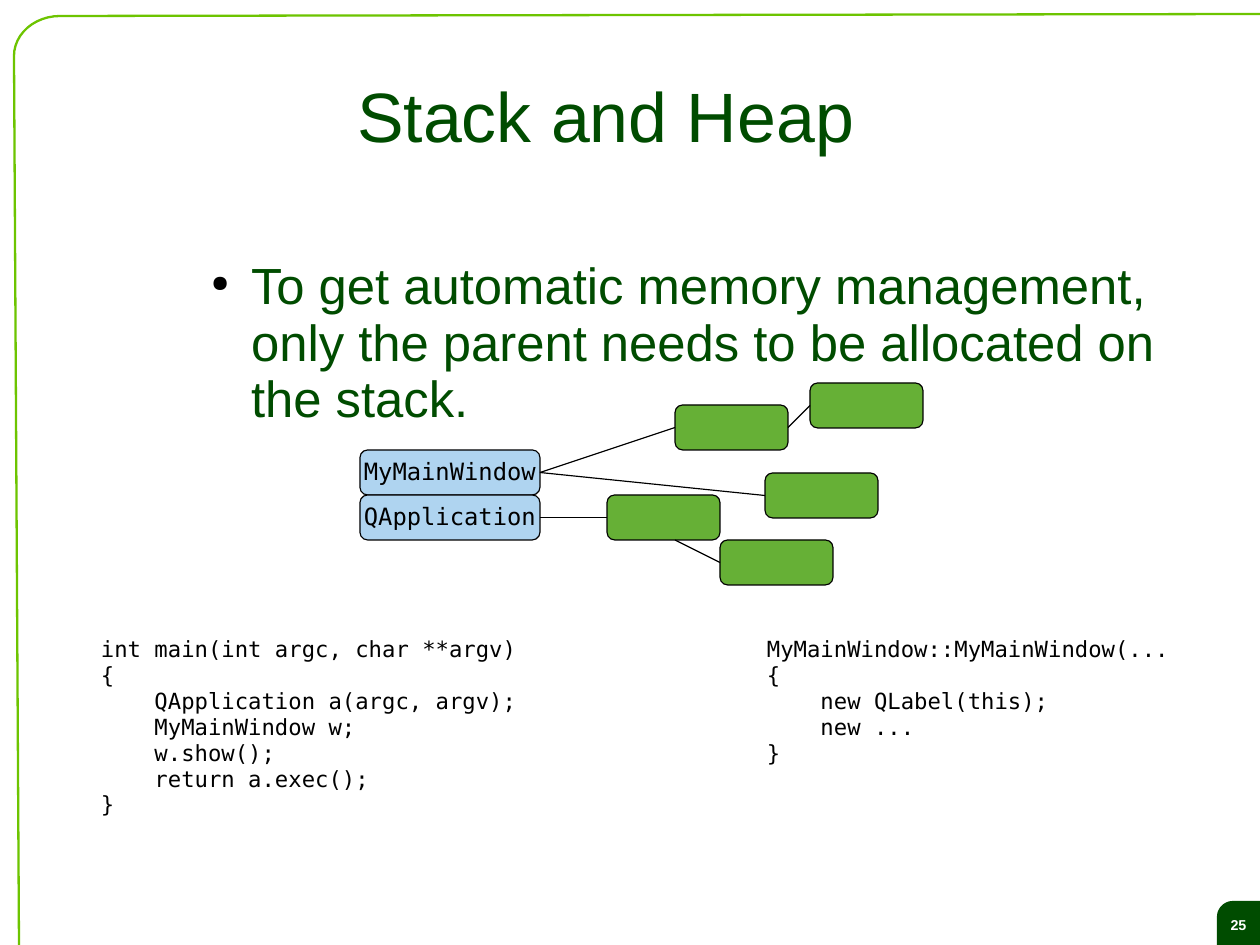
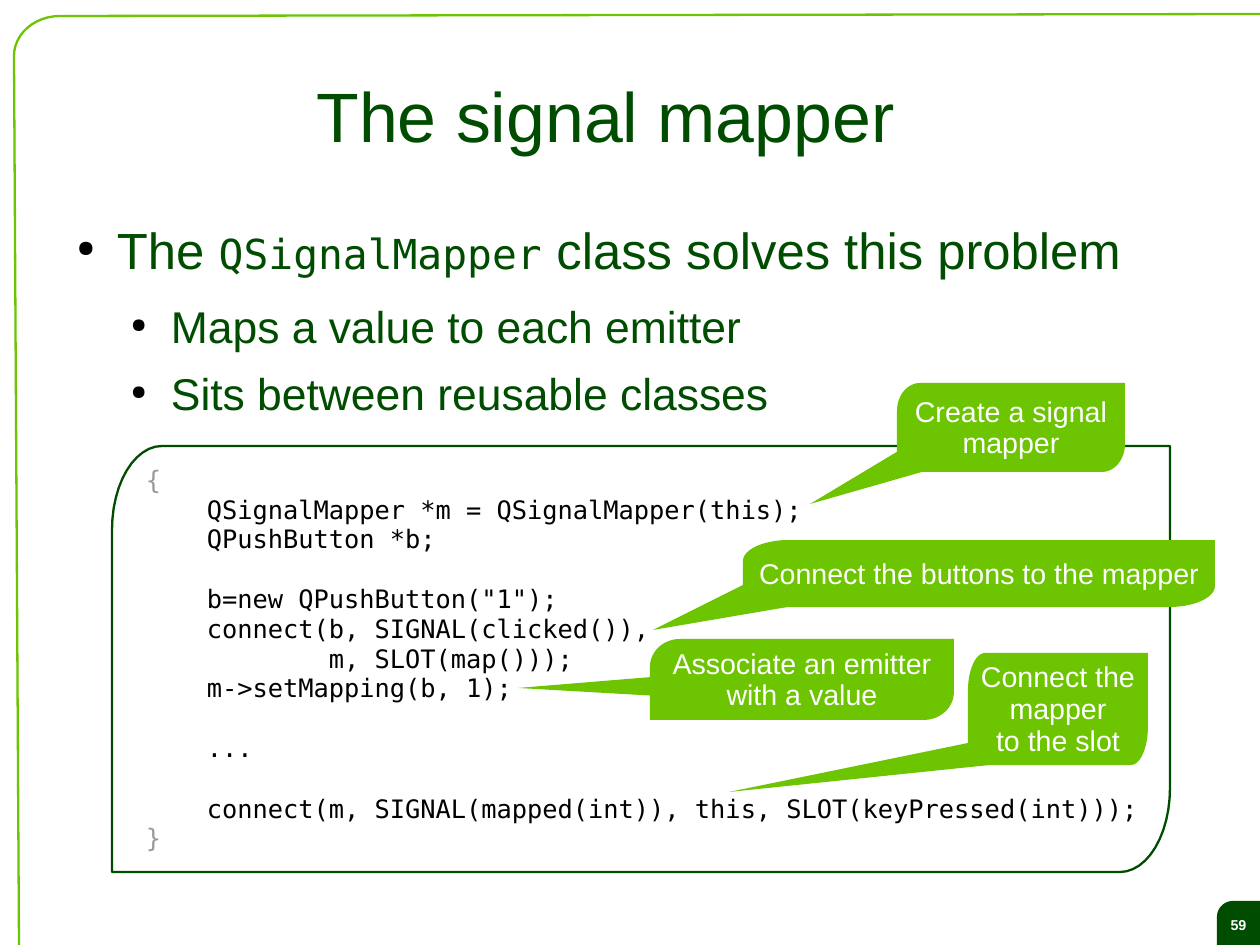
import math

import lxml.etree
import pptx
import pptx.dml.color
import pptx.enum.shapes
import pptx.enum.text
import pptx.oxml.ns
import pptx.util

PX = 8000  # EMU per px
SLIDE_WIDTH, SLIDE_HEIGHT = 1260, 945
SANS, MONO = "Arial", "DejaVu Sans Mono"
COLORS = {"dark": "004C00", "lime": "6DC400", "node": "66B036", "root": "AFD4F0",
          "black": "000000", "gray": "999999", "white": "FFFFFF"}
CENTER = pptx.enum.text.PP_ALIGN.CENTER
MIDDLE = pptx.enum.text.MSO_ANCHOR.MIDDLE
TOP, LEFT, BOTTOM, RIGHT = range(4)

# Content: stack and heap
STACK_BULLETS = [
    (0, [("To get automatic memory management, only the parent needs to be "
          "allocated on the stack.", SANS, 32)]),
]
NODE_HEIGHT = 45
ROOTS = {"MyMainWindow": (360, 450), "QApplication": (360, 495)}
CHILDREN = {"panel": (675, 405), "field": (810, 383), "list": (765, 473),
            "service": (607, 495), "timer": (720, 540)}
LINKS = [("MyMainWindow", "panel"), ("MyMainWindow", "list"),
         ("QApplication", "service"), ("panel", "field")]
TIMER_LINK_START = (675, 540)
LISTINGS = [
    ((90, 630, 450, 194), [
        "int main(int argc, char **argv)",
        "{",
        "    QApplication a(argc, argv);",
        "    MyMainWindow w;",
        "    w.show();",
        "    return a.exec();",
        "}",
    ]),
    ((756, 630, 450, 142), [
        "MyMainWindow::MyMainWindow(...",
        "{",
        "    new QLabel(this);",
        "    new ...",
        "}",
    ]),
]

# Content: signal mapper
MAPPER_BULLETS = [
    (0, [("The ", SANS, 32), ("QSignalMapper", MONO, 26),
         (" class solves this problem", SANS, 32)]),
    (1, [("Maps a value to each emitter", SANS, 28)]),
    (1, [("Sits between reusable classes", SANS, 28)]),
]
MAPPER_CODE = [
    "{",
    "    QSignalMapper *m = QSignalMapper(this);",
    "    QPushButton *b;",
    "",
    '    b=new QPushButton("1");',
    "    connect(b, SIGNAL(clicked()),",
    "            m, SLOT(map()));",
    "    m->setMapping(b, 1);",
    "",
    "    ...",
    "",
    "    connect(m, SIGNAL(mapped(int)), this, SLOT(keyPressed(int)));",
    "}",
]
# Callouts: lines, box, corner radii, pointer triangle
CALLOUTS = [
    (["Create a signal", "mapper"], (897, 383, 228, 89), (23, 28),
     [(922, 472), (810, 504), (900, 450)]),
    (["Connect the buttons to the mapper"], (743, 540, 472, 67), (46, 21),
     [(653, 630), (743, 585), (788, 607)]),
    (["Associate an emitter", "with a value"], (650, 639, 304, 81), (30, 28),
     [(518, 688), (676, 675), (676, 697)]),
    (["Connect the", "mapper", "to the slot"], (968, 653, 180, 112), (17, 38),
     [(968, 743), (990, 765), (729, 792)]),
]


def emu(*lengths):
    return [round(length * PX) for length in lengths]


def rgb(name):
    return pptx.dml.color.RGBColor.from_string(COLORS[name])


def style_font(font, name, size, color, bold=False):
    font.name, font.size, font.bold = name, pptx.util.Pt(size), bold
    font.color.rgb = rgb(color)


def paint(shape, fill=None, line=None, width=0.75):
    shape.shadow.inherit = False
    if fill:
        shape.fill.solid()
        shape.fill.fore_color.rgb = rgb(fill)
    else:
        shape.fill.background()
    if line:
        shape.line.color.rgb = rgb(line)
        shape.line.width = pptx.util.Pt(width)
    else:
        shape.line.fill.background()


def set_frame(shape, insets=(0, 0, 0, 0), anchor=None, wrap=True):
    frame = shape.text_frame
    frame.word_wrap = wrap
    (frame.margin_left, frame.margin_top,
     frame.margin_right, frame.margin_bottom) = emu(*insets)
    frame.vertical_anchor = anchor or pptx.enum.text.MSO_ANCHOR.TOP
    return frame


def next_paragraph(frame, index, spacing):
    paragraph = frame.add_paragraph() if index else frame.paragraphs[0]
    paragraph.line_spacing = spacing
    return paragraph


def write_centered(shape, lines, font, size, color, bold=False, **frame_options):
    frame = set_frame(shape, anchor=MIDDLE, **frame_options)
    for index, line in enumerate(lines):
        paragraph = next_paragraph(frame, index, 0.93)
        paragraph.alignment = CENTER
        paragraph.text = line
        style_font(paragraph.font, font, size, color, bold)


def add_code(slide, box, lines, size, brace_color="black", blank_line=19.3):
    frame = set_frame(slide.shapes.add_textbox(*emu(*box)), (11, 7, 11, 6))
    pending_gap = 0
    index = 0
    for line in lines:
        if not line:
            pending_gap += blank_line
            continue
        paragraph = next_paragraph(frame, index, 0.97)
        if pending_gap:
            paragraph.space_before = pptx.util.Pt(pending_gap)
        paragraph.text = line
        style_font(paragraph.font, MONO, size,
                   brace_color if line in "{}" else "black")
        pending_gap = 0
        index += 1


def add_bullet_mark(paragraph, level):
    properties = paragraph._p.get_or_add_pPr()
    margin, indent = emu(54 * (level + 1), -40)
    properties.set("marL", str(margin))
    properties.set("indent", str(indent))
    qualified = pptx.oxml.ns.qn
    color = lxml.etree.SubElement(properties, qualified("a:buClr"))
    lxml.etree.SubElement(color, qualified("a:srgbClr"), val=COLORS["black"])
    lxml.etree.SubElement(properties, qualified("a:buSzPct"), val="45000")
    lxml.etree.SubElement(properties, qualified("a:buChar"), char="●")


def add_bullets(slide, box, bullets):
    frame = set_frame(slide.shapes.add_textbox(*emu(*box)), (0, 3, 0, 0))
    for index, (level, runs) in enumerate(bullets):
        paragraph = next_paragraph(frame, index, 0.93)
        paragraph.level = level
        paragraph.space_after = pptx.util.Pt((14.3, 11.4)[level])
        add_bullet_mark(paragraph, level)
        for text, font, size in runs:
            run = paragraph.add_run()
            run.text = text
            if len(runs) > 1:
                style_font(run.font, font, size, "dark")
        if len(runs) == 1:
            style_font(paragraph.font, font, size, "dark")


def arc(center_x, center_y, radius_x, radius_y, start, steps=12):
    """Quarter ellipse, clockwise on screen from the start angle in degrees."""
    angles = [math.radians(start + 90 * step / steps) for step in range(steps + 1)]
    return [(center_x + radius_x * math.cos(angle),
             center_y + radius_y * math.sin(angle)) for angle in angles]


def add_outline(slide, points, close=True):
    corners = [emu(*point) for point in points]
    builder = slide.shapes.build_freeform(*corners[0], scale=1.0)
    builder.add_line_segments(corners[1:], close=close)
    return builder.convert_to_shape()


def add_leaf(slide, box, radii, round_end=True):
    """Box with its top left corner rounded, and the bottom right if asked."""
    left, top, width, height = box
    right, bottom = left + width, top + height
    radius_x, radius_y = radii
    points = arc(left + radius_x, top + radius_y, radius_x, radius_y, 180)
    points.append((right, top))
    if round_end:
        points += arc(right - radius_x, bottom - radius_y, radius_x, radius_y, 0)
    else:
        points.append((right, bottom))
    points.append((left, bottom))
    return add_outline(slide, points)


def add_link(slide, start, end_shape, start_shape=None):
    connector = slide.shapes.add_connector(
        pptx.enum.shapes.MSO_CONNECTOR.STRAIGHT, *emu(*start, *start))
    if start_shape is not None:
        connector.begin_connect(start_shape, RIGHT)
    connector.end_connect(end_shape, LEFT)
    connector.line.color.rgb = rgb("black")
    connector.line.width = pptx.util.Pt(0.75)
    lxml.etree.SubElement(connector._element.spPr, pptx.oxml.ns.qn("a:effectLst"))


def add_node(slide, position, width, fill, label=None):
    node = slide.shapes.add_shape(pptx.enum.shapes.MSO_SHAPE.ROUNDED_RECTANGLE,
                                  *emu(*position, width, NODE_HEIGHT))
    node.adjustments[0] = 0.17
    paint(node, fill, "black")
    if label:
        write_centered(node, [label], MONO, 15, "black", wrap=False)
    return node


def add_base_slide(presentation, title, number):
    slide = presentation.slides.add_slide(presentation.slide_layouts[6])
    # Page number tab
    tab = add_leaf(slide, (1217, 901, 43, 44), (16, 16), round_end=False)
    paint(tab, "dark")
    write_centered(tab, [str(number)], SANS, 9, "white", bold=True, insets=(0, 5, 0, 0))
    # Border line
    border = [(19, SLIDE_HEIGHT)] + arc(60, 56, 46, 40, 180) + [(SLIDE_WIDTH, 14)]
    paint(add_outline(slide, border, close=False), line="lime", width=1.45)
    # Title
    title_box = slide.shapes.add_textbox(*emu(197, 38, 818, 158))
    write_centered(title_box, [title], SANS, 44, "dark", insets=(0, 5, 0, 0))
    return slide


def build_stack_slide(presentation):
    slide = add_base_slide(presentation, "Stack and Heap", 25)
    add_bullets(slide, (197, 256, 1005, 624), STACK_BULLETS)
    # Object tree
    nodes = {name: add_node(slide, position, 180, "root", name)
             for name, position in ROOTS.items()}
    for name, position in CHILDREN.items():
        nodes[name] = add_node(slide, position, 113, "node")
    for parent, child in LINKS:
        add_link(slide, (0, 0), nodes[child], nodes[parent])
    add_link(slide, TIMER_LINK_START, nodes["timer"])
    # Code listings
    for box, lines in LISTINGS:
        add_code(slide, box, lines, 14)


def build_mapper_slide(presentation):
    slide = add_base_slide(presentation, "The signal mapper", 59)
    # Code frame
    code_frame = add_leaf(slide, (112, 446, 1058, 426), (50, 84))
    paint(code_frame, line="dark", width=1.45)
    add_bullets(slide, (63, 221, 1134, 613), MAPPER_BULLETS)
    add_code(slide, (135, 459, 1036, 410), MAPPER_CODE, 16, "gray")
    # Callouts
    for lines, box, radii, pointer in CALLOUTS:
        paint(add_outline(slide, pointer), "lime")
        callout = add_leaf(slide, box, radii)
        paint(callout, "lime")
        write_centered(callout, lines, SANS, 18, "white", insets=(8, 9, 8, 7))


def main():
    presentation = pptx.Presentation()
    presentation.slide_width, presentation.slide_height = emu(SLIDE_WIDTH, SLIDE_HEIGHT)
    build_stack_slide(presentation)
    build_mapper_slide(presentation)
    presentation.save("out.pptx")


if __name__ == "__main__":
    main()
